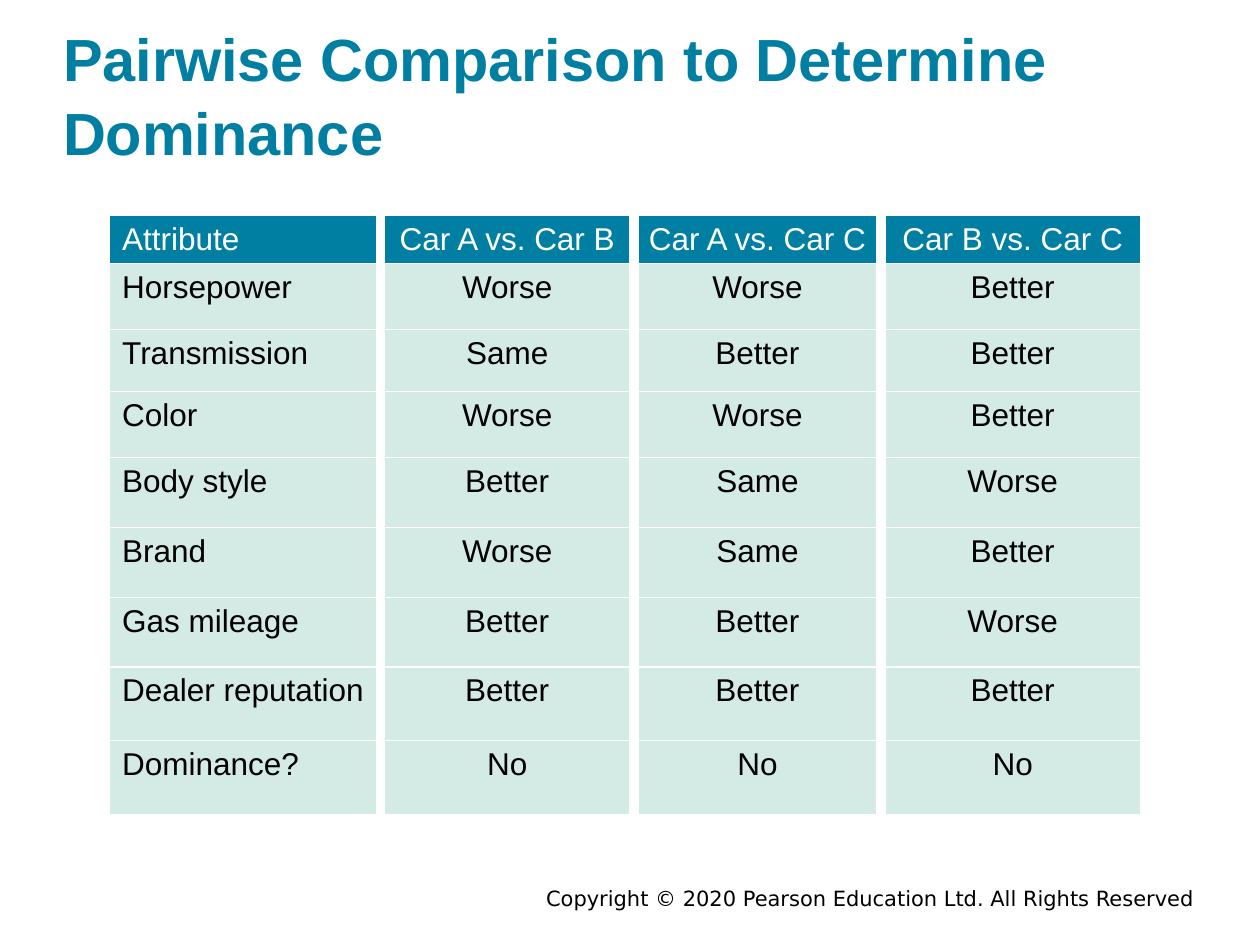
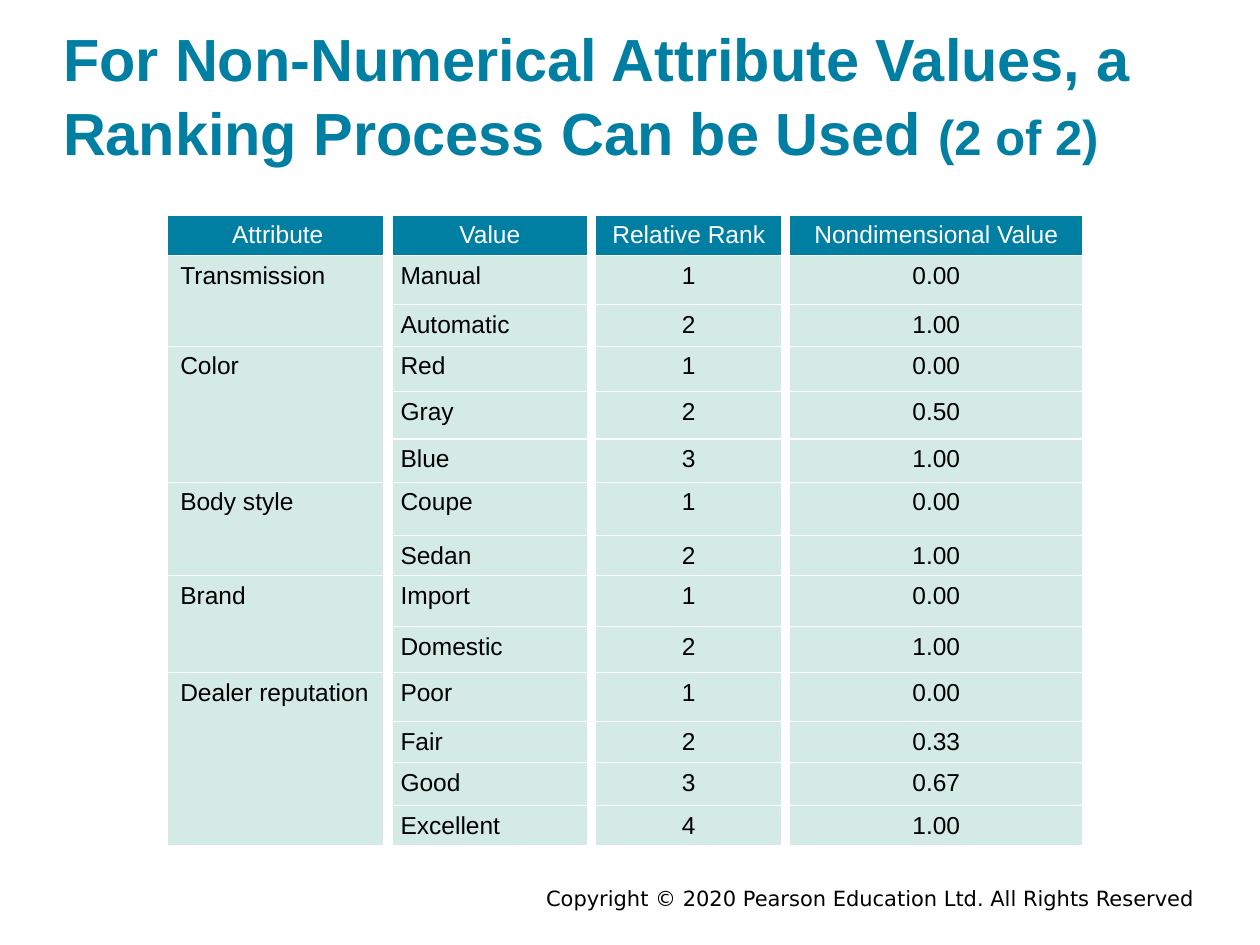
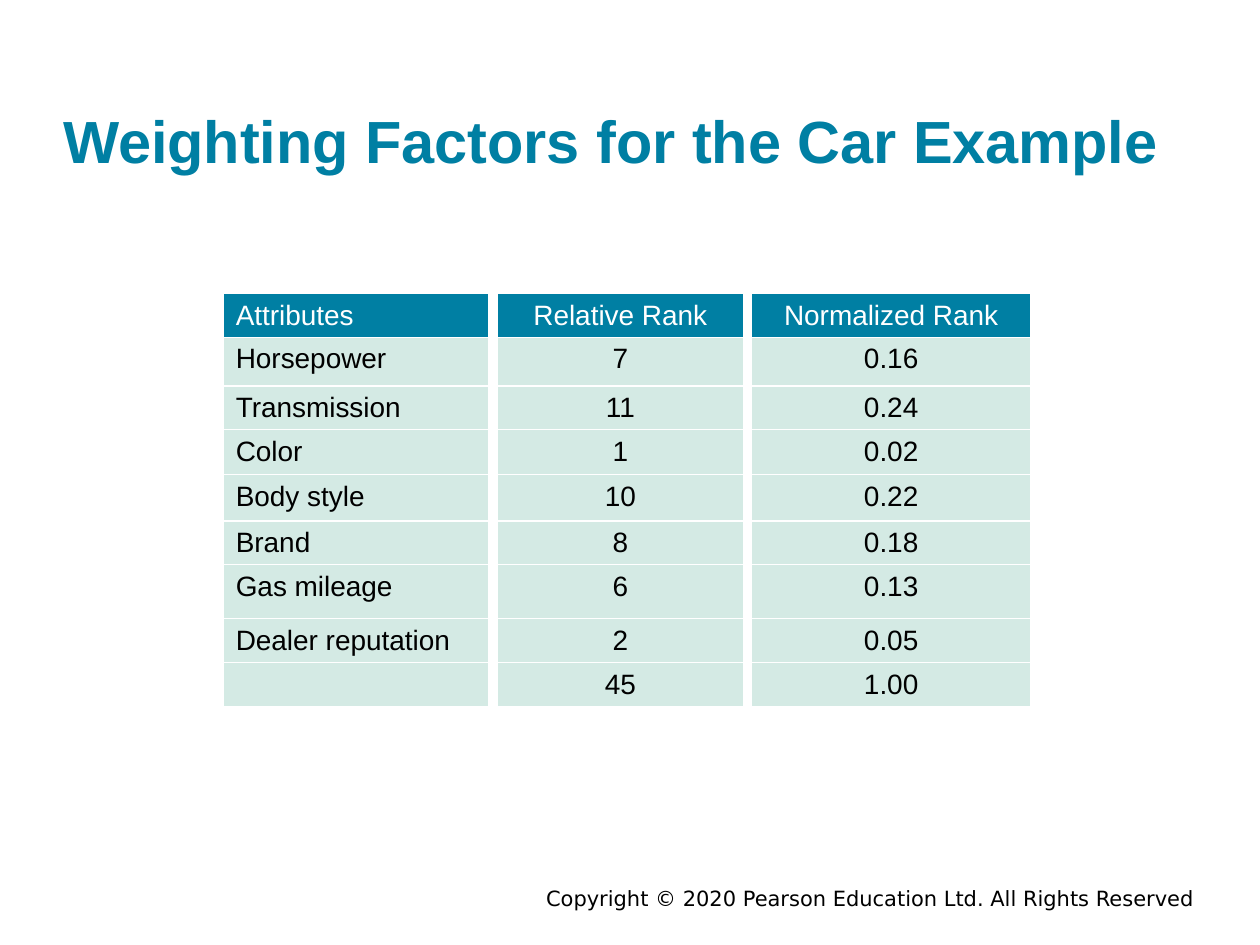
from lxml.etree import SubElement
from pptx import Presentation
from pptx.dml.color import RGBColor
from pptx.enum.text import MSO_ANCHOR as Anchor, MSO_AUTO_SIZE as Auto, PP_ALIGN as Align
from pptx.oxml.ns import qn
from pptx.util import Cm, Pt

TEAL, MINT, WHITE, BLACK = "007FA3", "D4EAE4", "FFFFFF", "000000"
FOOTER = "Copyright © 2020 Pearson Education Ltd. All Rights Reserved"
TITLE_BOX = (1.27, 0.53, 22.86, 2.84)
FOOTER_BOX = (7.21, 17.86, 16.87, 0.76)
EDGES = {"a:lnL": 6, "a:lnR": 6, "a:lnT": 0.75, "a:lnB": 0.75}

SLIDES = [
    {
        "title": ["Pairwise Comparison to Determine Dominance"],
        "box": TITLE_BOX,
        "at": (2.21, 4.34),
        "size": 18,
        "left": 1,
        "head": Align.LEFT,
        "anchor": Anchor.TOP,
        "cols": [5.46, 5.11, 4.98, 5.31],
        "heights": [0.96, 1.33, 1.25, 1.33, 1.42, 1.41, 1.4, 1.49, 1.48],
        "rows": [
            ("Attribute", "Car A vs. Car B", "Car A vs. Car C", "Car B vs. Car C"),
            ("Horsepower", "Worse", "Worse", "Better"),
            ("Transmission", "Same", "Better", "Better"),
            ("Color", "Worse", "Worse", "Better"),
            ("Body style", "Better", "Same", "Worse"),
            ("Brand", "Worse", "Same", "Better"),
            ("Gas mileage", "Better", "Better", "Worse"),
            ("Dealer reputation", "Better", "Better", "Better"),
            ("Dominance?", "No", "No", "No"),
        ],
    },
    {
        "title": ["For Non-Numerical Attribute Values, a Ranking Process Can be Used ", "(2 of 2)"],
        "box": TITLE_BOX,
        "at": (3.38, 4.34),
        "size": 14,
        "left": 2,
        "head": Align.CENTER,
        "anchor": Anchor.BOTTOM,
        "cols": [4.44, 4.11, 3.91, 6.07],
        "heights": [0.79, 0.99, 0.84, 0.92, 0.95, 0.87, 1.08,
                    0.8, 1.02, 0.93, 0.99, 0.82, 0.87, 0.8],
        "rows": [
            ("Attribute", "Value", "Relative Rank", "Nondimensional Value"),
            ("Transmission", "Manual", "1", "0.00"),
            (None, "Automatic", "2", "1.00"),
            ("Color", "Red", "1", "0.00"),
            (None, "Gray", "2", "0.50"),
            (None, "Blue", "3", "1.00"),
            ("Body style", "Coupe", "1", "0.00"),
            (None, "Sedan", "2", "1.00"),
            ("Brand", "Import", "1", "0.00"),
            (None, "Domestic", "2", "1.00"),
            ("Dealer reputation", "Poor", "1", "0.00"),
            (None, "Fair", "2", "0.33"),
            (None, "Good", "3", "0.67"),
            (None, "Excellent", "4", "1.00"),
        ],
    },
    {
        "title": ["Weighting Factors for the Car Example"],
        "box": (1.27, 1.78, 22.86, 1.75),
        "at": (4.5, 5.92),
        "size": 16,
        "left": 1,
        "head": Align.LEFT,
        "anchor": Anchor.TOP,
        "cols": [5.44, 5.13, 5.79],
        "heights": [0.87, 0.98, 0.88, 0.91, 0.93, 0.88, 1.09, 0.87, 0.87],
        "rows": [
            ("Attributes", "Relative Rank", "Normalized Rank"),
            ("Horsepower", "7", "0.16"),
            ("Transmission", "11", "0.24"),
            ("Color", "1", "0.02"),
            ("Body style", "10", "0.22"),
            ("Brand", "8", "0.18"),
            ("Gas mileage", "6", "0.13"),
            ("Dealer reputation", "2", "0.05"),
            ("", "45", "1.00"),
        ],
    },
]


def rgb(code):
    return RGBColor.from_string(code)


def style(para, size, color, align, face="Arial", bold=False):
    para.alignment = align
    font = para.font
    font.name, font.size, font.bold = face, Pt(size), bold
    font.color.rgb = rgb(color)


def bare(frame):
    frame.margin_left = frame.margin_right = frame.margin_top = frame.margin_bottom = 0
    frame.word_wrap = True
    frame.auto_size = Auto.NONE


def add_title(slide, parts, box):
    shape = slide.shapes.title
    shape.left, shape.top, shape.width, shape.height = map(Cm, box)
    frame = shape.text_frame
    bare(frame)
    frame.vertical_anchor = Anchor.BOTTOM
    para = frame.paragraphs[0]
    para.line_spacing = 1.04
    style(para, 34, TEAL, Align.LEFT, bold=True)
    for text in parts:
        para.add_run().text = text
    for run in para.runs[1:]:
        run.font.size = Pt(28)


def add_footer(slide):
    frame = slide.shapes.add_textbox(*map(Cm, FOOTER_BOX)).text_frame
    bare(frame)
    frame.text = FOOTER
    style(frame.paragraphs[0], 12, BLACK, Align.RIGHT, "DejaVu Sans")


def add_edges(cell, first):
    props = cell._tc.get_or_add_tcPr()
    for tag, width in EDGES.items():
        if first and tag == "a:lnL":
            continue
        line = SubElement(props, qn(tag), w=str(Pt(width)))
        fill = SubElement(line, qn("a:solidFill"))
        SubElement(fill, qn("a:srgbClr"), val=WHITE)


def fill_cell(cell, text, row, col, data):
    add_edges(cell, col == 0)
    cell.fill.solid()
    cell.fill.fore_color.rgb = rgb(MINT if row else TEAL)
    cell.vertical_anchor = Anchor.TOP if row else data["anchor"]
    cell.text = text or ""
    align = Align.CENTER
    if col < data["left"]:
        align = Align.LEFT if row else data["head"]
    para = cell.text_frame.paragraphs[0]
    style(para, data["size"], BLACK if row else WHITE, align)
    if not text:
        SubElement(para._p, qn("a:endParaRPr"), sz=str(data["size"] * 100))


def add_grid(slide, data):
    rows, cols, tall = data["rows"], data["cols"], data["heights"]
    size = (sum(cols), sum(tall))
    table = slide.shapes.add_table(len(rows), len(cols), *map(Cm, data["at"] + size)).table
    table.first_row = table.horz_banding = False
    for col, width in zip(table.columns, cols):
        col.width = Cm(width)
    for row, height in zip(table.rows, tall):
        row.height = Cm(height)
    for r, row in enumerate(rows):
        for c, text in enumerate(row):
            fill_cell(table.cell(r, c), text, r, c, data)
    starts = [r for r, row in enumerate(rows) if row[0] is not None]
    for top, stop in zip(starts, starts[1:] + [len(rows)]):
        if stop - top > 1:
            table.cell(top, 0).merge(table.cell(stop - 1, 0))


def main():
    deck = Presentation()
    deck.slide_width, deck.slide_height = Cm(25.4), Cm(19.05)
    for data in SLIDES:
        slide = deck.slides.add_slide(deck.slide_layouts[5])
        add_footer(slide)
        add_title(slide, data["title"], data["box"])
        add_grid(slide, data)
    deck.save("out.pptx")


if __name__ == "__main__":
    main()
